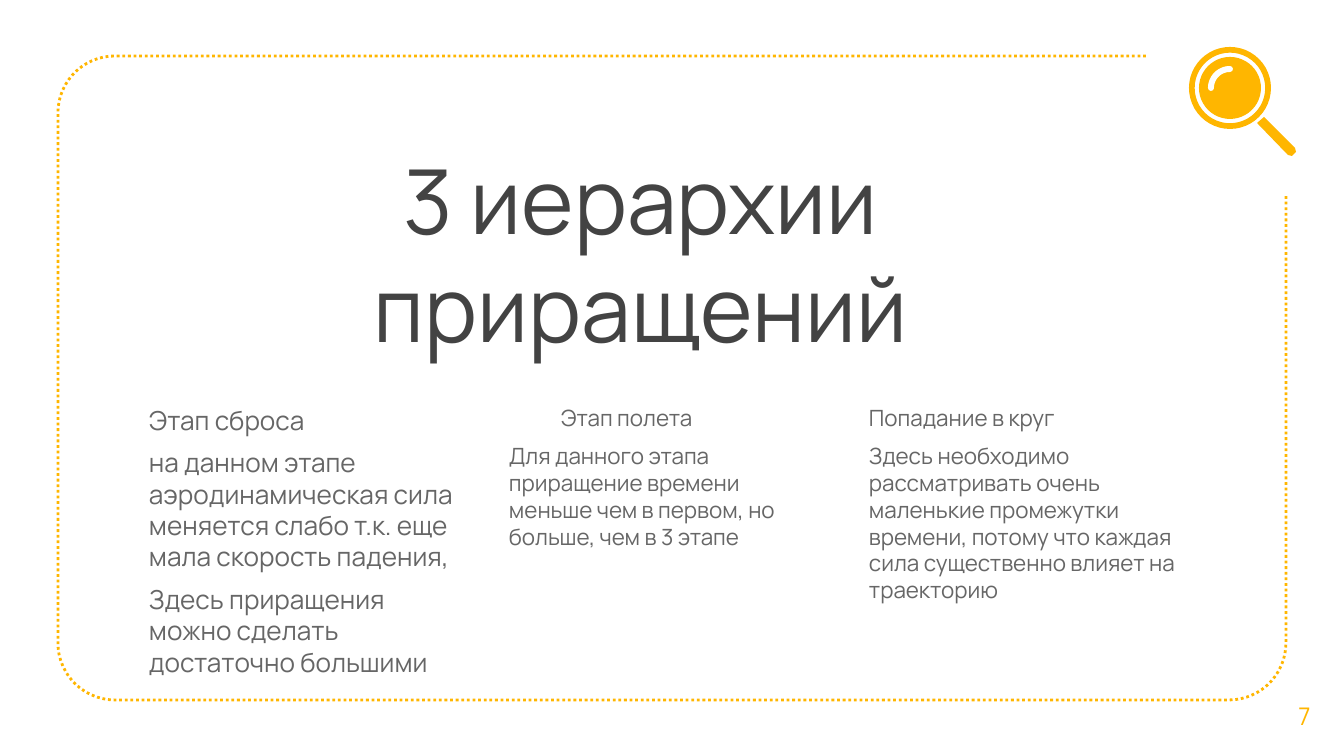
"""Build a slide on three hierarchies of increments in a dotted frame."""
import math

import pptx
import pptx.dml.color
import pptx.enum.dml
import pptx.enum.shapes
import pptx.enum.text
import pptx.util

PX = 914400 / 134.4
FONT = "Manrope"
COLORS = {"accent": "FFB600", "title": "434343", "body": "666666", "white": "FFFFFF"}
ALIGN = pptx.enum.text.PP_ALIGN
ANCHOR = pptx.enum.text.MSO_ANCHOR
SHAPE = pptx.enum.shapes.MSO_SHAPE


def arc(center_x, center_y, radius, start, end):
    angles = [math.radians(start + (end - start) * step / 15) for step in range(16)]
    return [(center_x + radius * math.cos(a), center_y + radius * math.sin(a)) for a in angles]


def add_text(box, paragraphs, size, color, align, anchor=ANCHOR.TOP):
    left, top, width, height = [round(value * PX) for value in box]
    frame = slide.shapes.add_textbox(left, top, width, height).text_frame
    frame.word_wrap = True
    frame.vertical_anchor = anchor
    frame.margin_left = frame.margin_right = round(13 * PX)
    frame.margin_top = frame.margin_bottom = round(13 * PX)
    frame.text = "\n".join(paragraphs)
    for paragraph in frame.paragraphs:
        paragraph.alignment = align
        font = paragraph.runs[0].font
        font.name = FONT
        font.size = pptx.util.Pt(size)
        font.color.rgb = pptx.dml.color.RGBColor.from_string(COLORS[color])
    return frame


presentation = pptx.Presentation()
presentation.slide_width = round(1344 * PX)
presentation.slide_height = round(756 * PX)
slide = presentation.slides.add_slide(presentation.slide_layouts[6])

left, top, right, bottom, radius = 58, 56, 1286, 700, 57
frame_points = [
    (1146, top),
    *arc(left + radius, top + radius, radius, 270, 180),
    *arc(left + radius, bottom - radius, radius, 180, 90),
    *arc(right - radius, bottom - radius, radius, 90, 0),
    (right, 196),
]
handle_points = [(1264, 117), (1257, 123), (1288, 155), (1292, 156), (1296, 152), (1295, 148)]

magnifier = slide.shapes.add_group_shape()
ring_box = [round(value * PX) for value in (1189, 47, 82, 82)]
ring = magnifier.shapes.add_shape(SHAPE.DONUT, *ring_box)
ring.adjustments[0] = 0.07
lens_box = [round(value * PX) for value in (1199, 57, 62, 62)]
lens = magnifier.shapes.add_shape(SHAPE.OVAL, *lens_box)

outlines = []
for shapes, points, closed in (
    (slide.shapes, frame_points, False),
    (magnifier.shapes, arc(1230, 88, 19, 180, 270), False),
    (magnifier.shapes, handle_points, True),
):
    points = [(round(x * PX), round(y * PX)) for x, y in points]
    builder = shapes.build_freeform(*points[0], scale=1.0)
    builder.add_line_segments(points[1:], close=closed)
    outlines.append(builder.convert_to_shape())
border, highlight, handle = outlines

for shape in (ring, lens, handle):
    shape.shadow.inherit = False
    shape.fill.solid()
    shape.fill.fore_color.rgb = pptx.dml.color.RGBColor.from_string(COLORS["accent"])
    shape.line.fill.background()

for shape, color, width in ((border, "accent", 1.5), (highlight, "white", 3.2)):
    shape.shadow.inherit = False
    shape.fill.background()
    shape.line.color.rgb = pptx.dml.color.RGBColor.from_string(COLORS[color])
    shape.line.width = pptx.util.Pt(width)
border.line.dash_style = pptx.enum.dml.MSO_LINE.ROUND_DOT
highlight.line._get_or_add_ln().set("cap", "rnd")

add_text((136, 132, 1009, 126), ["3 иерархии приращений"], 48, "title", ALIGN.CENTER)

columns = [
    (14, 0, [
        "Этап сброса",
        "на данном этапе аэродинамическая сила меняется слабо т.к. еще мала скорость падения,",
        "Здесь приращения можно сделать достаточно большими",
    ]),
    (12, 52, [
        "Этап полета",
        "Для данного этапа приращение времени меньше чем в первом, но больше, чем в 3 этапе",
    ]),
    (12, 0, [
        "Попадание в круг",
        "Здесь необходимо рассматривать очень маленькие промежутки времени, "
        "потому что каждая сила существенно влияет на траекторию",
    ]),
]
for index, (size, heading_indent, paragraphs) in enumerate(columns):
    box = (136 + 360 * index, 391, 343, 301)
    column = add_text(box, paragraphs, size, "body", ALIGN.LEFT)
    for paragraph in column.paragraphs:
        paragraph.space_before = pptx.util.Pt(6)
    if heading_indent:
        properties = column.paragraphs[0]._p.get_or_add_pPr()
        properties.set("indent", str(round(heading_indent * PX)))

add_text((1265, 675, 79, 81), ["7"], 13, "accent", ALIGN.CENTER, ANCHOR.MIDDLE)

presentation.save("out.pptx")
